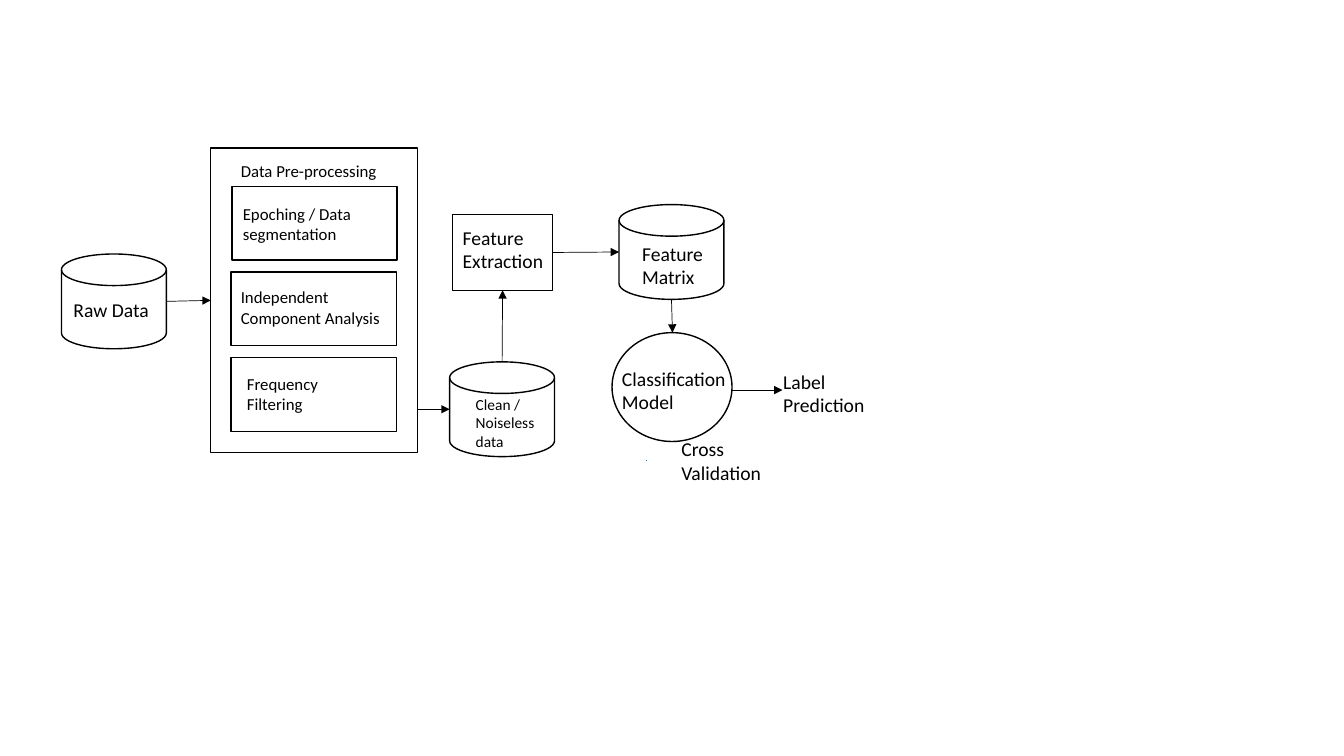
from lxml import etree
from pptx import Presentation
from pptx import util as u
from pptx.dml.color import RGBColor
from pptx.enum import shapes, text
from pptx.oxml import ns

PX = 9144  # 100 px to the inch
BLACK = RGBColor(0, 0, 0)
BLUE = RGBColor(0x44, 0x72, 0xC4)
FONT = "Calibri"

RECT = shapes.MSO_SHAPE.RECTANGLE
DISK = shapes.MSO_SHAPE.FLOWCHART_MAGNETIC_DISK
CIRCLE = shapes.MSO_SHAPE.OVAL


def px(*lengths):
    return [u.Emu(length * PX) for length in lengths]


def add_outline(page, kind, left, top, width, height):
    outline = page.shapes.add_shape(kind, *px(left, top, width, height))
    outline.shadow.inherit = False
    outline.fill.background()
    outline.line.color.rgb = BLACK
    outline.line.width = u.Pt(1)
    return outline


def add_label(page, words, *, left, top, width, height, size=14):
    box = page.shapes.add_textbox(*px(left, top, width, height))
    frame = box.text_frame
    frame.word_wrap = True
    frame.auto_size = text.MSO_AUTO_SIZE.SHAPE_TO_FIT_TEXT
    span = frame.paragraphs[0].add_run()
    span.text = words
    span.font.name = FONT
    span.font.size = u.Pt(size)
    span.font.color.rgb = BLACK


def add_line(page, start, end, *, color=BLACK, arrow=True, source=None, target=None):
    """source and target are (rectangle, side) pairs to join the ends to."""
    line = page.shapes.add_connector(shapes.MSO_CONNECTOR.STRAIGHT, *px(*start, *end))
    if source:
        line.begin_connect(*source)
    if target:
        line.end_connect(*target)
    line.line.color.rgb = color
    line.line.width = u.Pt(0.5)
    if arrow:
        stroke = line.line._get_or_add_ln()
        etree.SubElement(stroke, ns.qn("a:tailEnd"), type="triangle")
    etree.SubElement(line._element.spPr, ns.qn("a:effectLst"))


def main():
    deck = Presentation()
    deck.slide_width, deck.slide_height = px(1333, 750)
    page = deck.slides.add_slide(deck.slide_layouts[6])

    # Data stores
    for left, top in ((61, 252), (446, 359), (614, 203)):
        add_outline(page, DISK, left, top, 104, 94)

    # Processing steps
    preprocessing = add_outline(page, RECT, 209, 147, 205, 302)
    for left, top in ((230, 185), (229, 270), (229, 355)):
        add_outline(page, RECT, left, top, 164, 73)
    extraction = add_outline(page, RECT, 449, 213, 99, 75)
    add_outline(page, CIRCLE, 607, 330, 119, 108)

    # Labels of the pre-processing stage
    for words, left, top, width, height in (
        ("Data Pre-processing", 229, 155, 162, 30),
        ("Epoching / Data segmentation", 231, 197, 145, 50),
        ("Independent Component Analysis", 229, 280, 164, 50),
        ("Frequency Filtering", 235, 366, 145, 50),
    ):
        add_label(page, words, left=left, top=top, width=width, height=height, size=12)

    # Labels of the other stages
    add_label(page, "Raw Data", left=63, top=291, width=96, height=34)
    add_label(page, "Clean / Noiseless data", left=462, top=387, width=96, height=66, size=11)
    for words, left, top, width in (
        ("Feature Extraction", 449, 219, 118),
        ("Feature Matrix", 627, 235, 96),
        ("Classification Model", 607, 359, 126),
        ("Label Prediction", 767, 362, 120),
        ("Cross Validation", 666, 429, 127),
    ):
        add_label(page, words, left=left, top=top, width=width, height=57)

    # Flow between stages
    add_line(page, (165, 299), (209, 298), target=(preprocessing, 1))
    add_line(page, (414, 406), (446, 406))
    add_line(page, (498, 359), (498, 288), target=(extraction, 2))
    add_line(page, (548, 251), (614, 250), source=(extraction, 3))
    add_line(page, (666, 297), (667, 330))
    add_line(page, (726, 387), (776, 387))

    # Small tick beside the cross validation label
    add_line(page, (641, 456), (641, 457), color=BLUE, arrow=False)

    deck.save("out.pptx")


if __name__ == "__main__":
    main()
